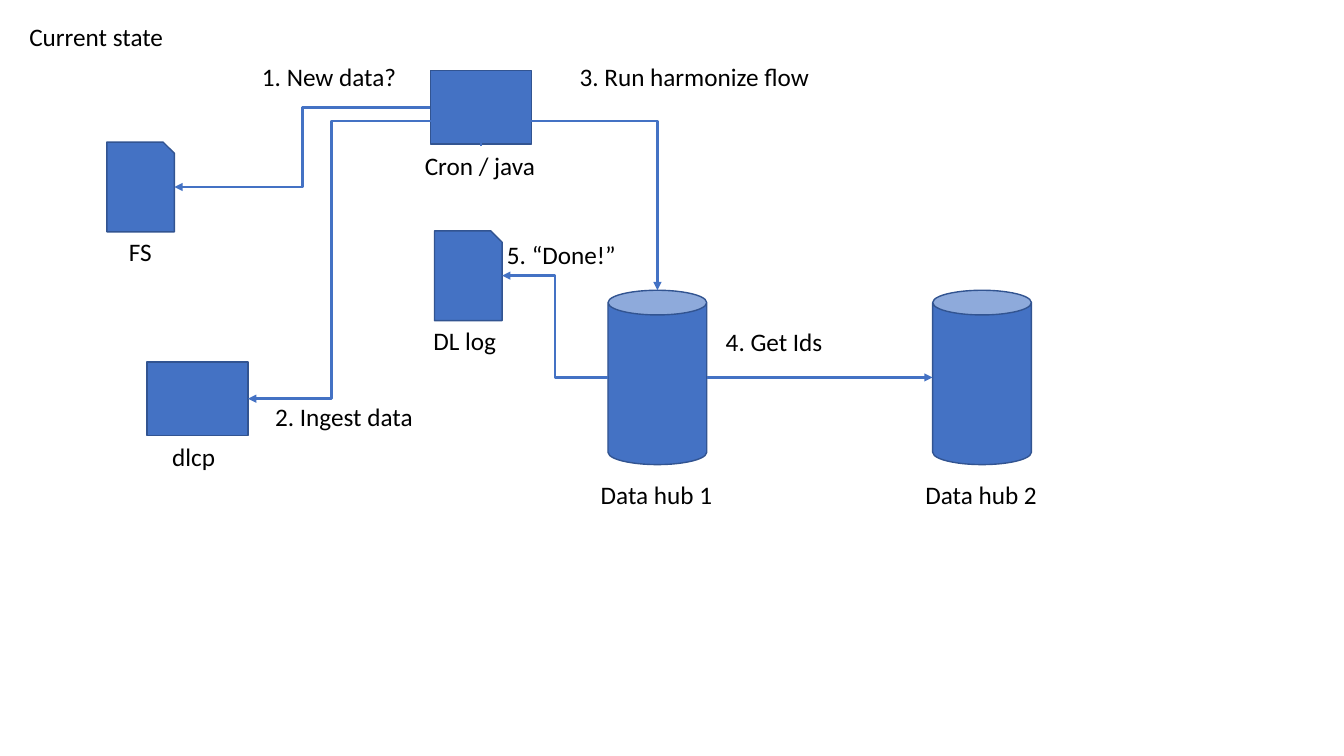
from dataclasses import dataclass

import pptx
import pptx.dml.color
import pptx.enum.shapes
import pptx.enum.text
import pptx.oxml.ns
import pptx.util
from lxml import etree

SHAPES = pptx.enum.shapes.MSO_SHAPE
Inches = pptx.util.Inches


@dataclass(frozen=True)
class Theme:
    font: str = "Calibri"
    text_size: float = 18
    text: str = "000000"
    fill: str = "4472C4"
    outline: str = "325491"
    outline_width: float = 1
    arrow_width: float = 1.75


THEME = Theme()
SLIDE_SIZE = (13.33, 7.5)
TEXT_HEIGHT = 0.4

TITLE = ("Current state", 0.19, 0.16, 1.54)

# kind: preset shape, width, height, gap to the caption
KINDS = {
    "hub": (SHAPES.CAN, 0.98, 1.73, 0.1),
    "file": (SHAPES.SNIP_1_RECTANGLE, 0.67, 0.89, 0),
    "process": (SHAPES.RECTANGLE, 1, 0.73, 0.01),
}

# caption: kind, left, top, caption width
NODES = {
    "Data hub 1": ("hub", 6.03, 2.88, 1.32),
    "Data hub 2": ("hub", 9.25, 2.88, 1.32),
    "FS": ("file", 1.06, 1.41, 0.43),
    "Cron / java": ("process", 4.27, 0.7, 1.31),
    "dlcp": ("process", 1.46, 3.59, 0.7),
    "DL log": ("file", 4.31, 2.29, 0.89),
}

# text, left, top, width
STEPS = [
    ("1. New data?", 2.5, 0.56, 1.55),
    ("2. Ingest data", 2.63, 3.93, 1.58),
    ("3. Run harmonize flow", 5.65, 0.56, 2.51),
    ("4. Get Ids", 7.1, 3.19, 1.17),
    ("5. “Done!”", 4.93, 2.33, 1.29),
]

# begin node and side, end node and side
SIDEWAYS_ARROWS = [
    ("Cron / java", "left", "FS", "right"),
    ("Data hub 1", "right", "Data hub 2", "left"),
    ("Data hub 1", "left", "DL log", "right"),
]

# end node and side, column where the arrow turns down (None: at its end)
CRON_ARROWS = [("Data hub 1", "top", None), ("dlcp", "right", 3.29)]
CRON_EXIT = (4.77, 1.45)
CRON_RISE = 0.25


def color(value):
    return pptx.dml.color.RGBColor.from_string(value)


def anchor(name, side):
    """Return the middle of one side of a node."""
    kind, left, top, _ = NODES[name]
    _, width, height, _ = KINDS[kind]
    across, down = {"left": (0, 0.5), "right": (1, 0.5), "top": (0.5, 0)}[side]
    return left + across * width, top + down * height


def write(shape, text, left, top, width):
    shape.left, shape.top = Inches(left), Inches(top)
    shape.width, shape.height = Inches(width), Inches(TEXT_HEIGHT)
    frame = shape.text_frame
    frame.word_wrap = False
    frame.auto_size = pptx.enum.text.MSO_AUTO_SIZE.SHAPE_TO_FIT_TEXT
    frame.vertical_anchor = pptx.enum.text.MSO_ANCHOR.TOP
    paragraph = frame.paragraphs[0]
    paragraph.alignment = pptx.enum.text.PP_ALIGN.LEFT
    run = paragraph.add_run()
    run.text = text
    run.font.name = THEME.font
    run.font.size = pptx.util.Pt(THEME.text_size)
    run.font.color.rgb = color(THEME.text)


def add_text(slide, *placed_text):
    write(slide.shapes.add_textbox(0, 0, 0, 0), *placed_text)


def add_node(slide, caption, kind, left, top, caption_width):
    preset, width, height, gap = KINDS[kind]
    shape = slide.shapes.add_shape(
        preset, Inches(left), Inches(top), Inches(width), Inches(height))
    shape.shadow.inherit = False
    shape.fill.solid()
    shape.fill.fore_color.rgb = color(THEME.fill)
    shape.line.color.rgb = color(THEME.outline)
    shape.line.width = pptx.util.Pt(THEME.outline_width)
    add_text(slide, caption, left + (width - caption_width) / 2,
             top + height + gap, caption_width)


def add_elbow(slide, begin, end):
    connector = slide.shapes.add_connector(
        pptx.enum.shapes.MSO_CONNECTOR.ELBOW,
        *[Inches(value) for value in (*begin, *end)])
    connector.line.color.rgb = color(THEME.fill)
    connector.line.width = pptx.util.Pt(THEME.arrow_width)
    tail = etree.SubElement(connector.line._get_or_add_ln(),
                            pptx.oxml.ns.qn("a:tailEnd"))
    tail.set("type", "triangle")
    etree.SubElement(connector._element.spPr, pptx.oxml.ns.qn("a:effectLst"))
    return connector


def add_cron_arrow(slide, end, turn):
    """Draw an elbow that first rises from the exit: a sideways one, turned by 270°."""
    begin_x, begin_y = CRON_EXIT
    across, down = end[0] - begin_x, end[1] - begin_y
    middle_x, middle_y = begin_x + across / 2, begin_y + down / 2
    connector = add_elbow(slide,
                          (middle_x + down / 2, middle_y - across / 2),
                          (middle_x - down / 2, middle_y + across / 2))
    properties = connector._element.spPr
    properties.find(pptx.oxml.ns.qn("a:xfrm")).set("rot", str(270 * 60000))
    geometry = properties.find(pptx.oxml.ns.qn("a:prstGeom"))
    bends = [-CRON_RISE / down]
    if turn is not None:
        geometry.set("prst", "bentConnector4")
        bends.append((turn - begin_x) / across)
    guides = geometry.find(pptx.oxml.ns.qn("a:avLst"))
    for number, share in enumerate(bends, 1):
        guide = etree.SubElement(guides, pptx.oxml.ns.qn("a:gd"))
        guide.set("name", f"adj{number}")
        guide.set("fmla", f"val {round(share * 100000)}")


def main():
    presentation = pptx.Presentation()
    presentation.slide_width, presentation.slide_height = map(Inches, SLIDE_SIZE)
    slide = presentation.slides.add_slide(presentation.slide_layouts[5])
    write(slide.shapes.title, *TITLE)
    for caption, node in NODES.items():
        add_node(slide, caption, *node)
    for begin, begin_side, end, end_side in SIDEWAYS_ARROWS:
        add_elbow(slide, anchor(begin, begin_side), anchor(end, end_side))
    for end, end_side, turn in CRON_ARROWS:
        add_cron_arrow(slide, anchor(end, end_side), turn)
    for step in STEPS:
        add_text(slide, *step)
    presentation.save("out.pptx")


if __name__ == "__main__":
    main()
